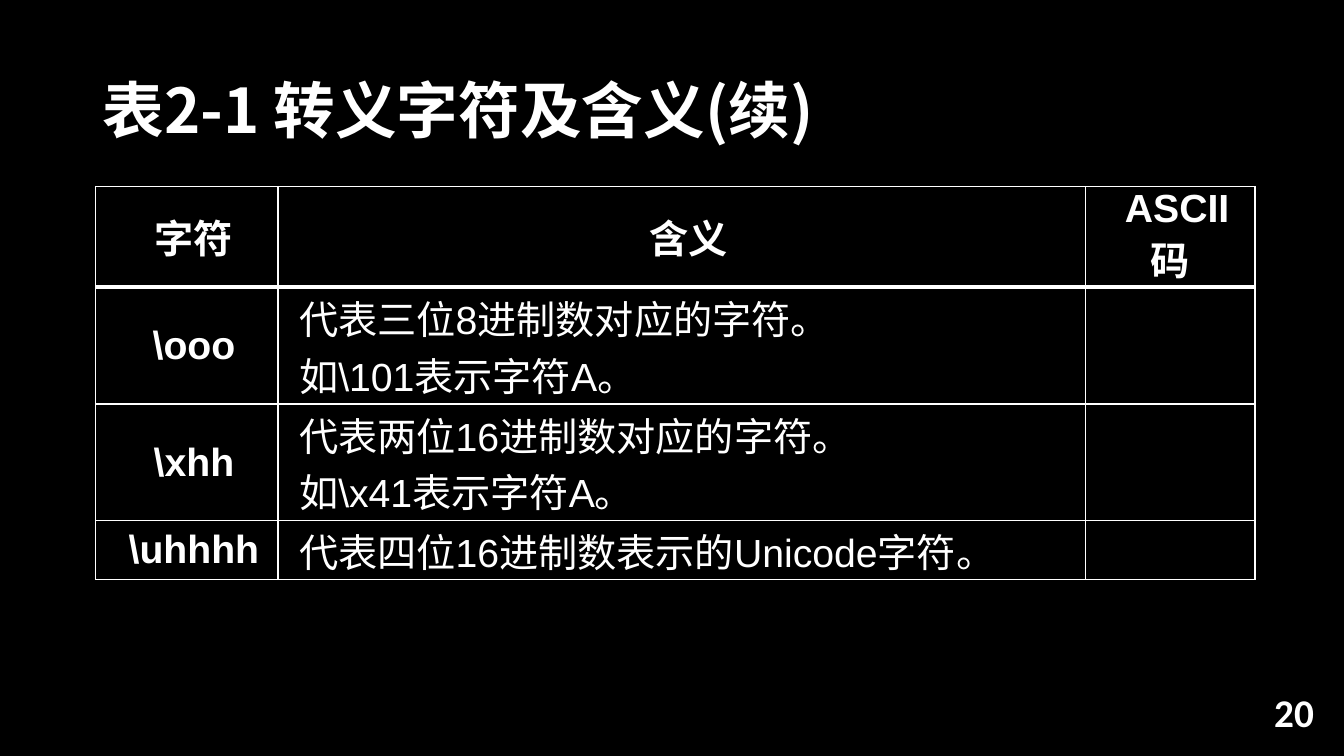
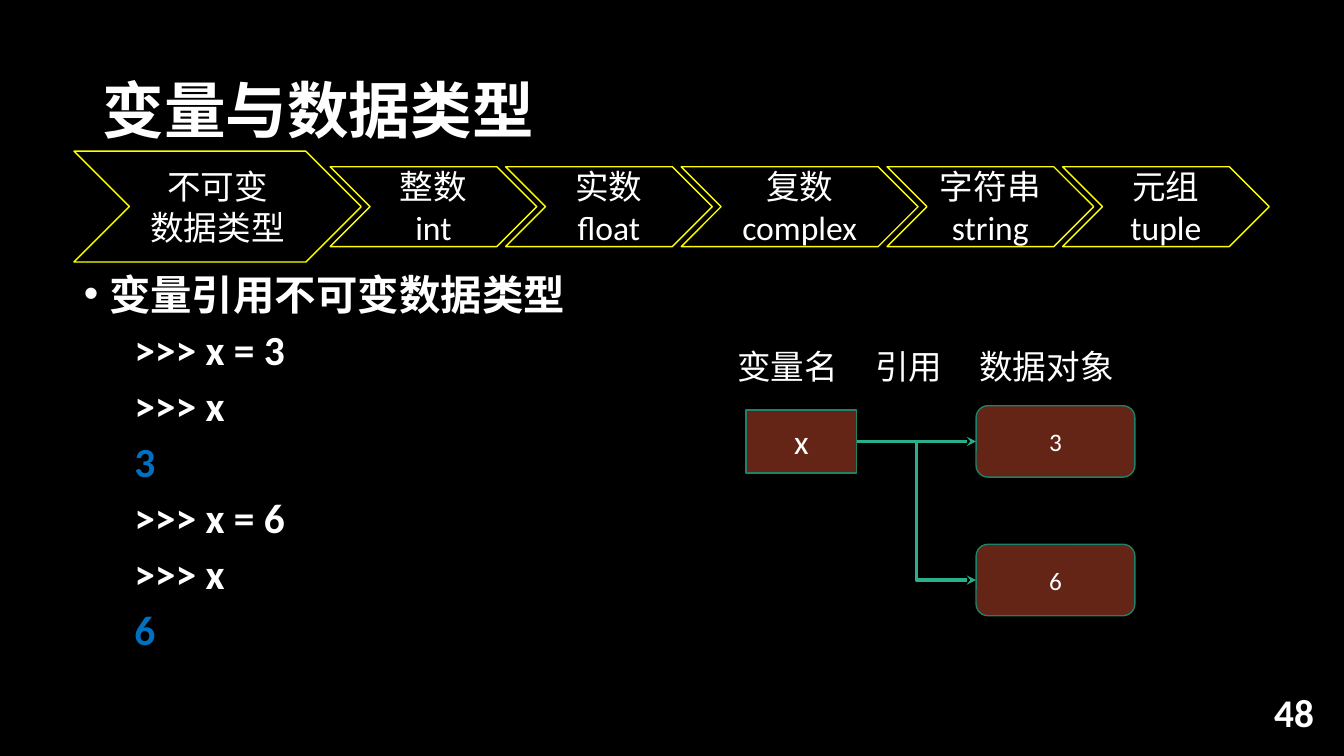
from dataclasses import dataclass
from typing import NamedTuple

from lxml import etree
from pptx import Presentation
from pptx.dml.color import RGBColor
from pptx.enum.shapes import MSO_CONNECTOR, MSO_SHAPE
from pptx.enum.text import MSO_ANCHOR, PP_ALIGN
from pptx.oxml.ns import qn
from pptx.util import Emu, Inches, Pt

LEFT, CENTER, RIGHT, JUSTIFY = PP_ALIGN.LEFT, PP_ALIGN.CENTER, PP_ALIGN.RIGHT, PP_ALIGN.JUSTIFY
MIDDLE, TOP = MSO_ANCHOR.MIDDLE, MSO_ANCHOR.TOP
CHEVRON, RECTANGLE, ROUNDED = MSO_SHAPE.CHEVRON, MSO_SHAPE.RECTANGLE, MSO_SHAPE.ROUNDED_RECTANGLE
STRAIGHT, ELBOW = MSO_CONNECTOR.STRAIGHT, MSO_CONNECTOR.ELBOW
RIGHT_SIDE, LEFT_SIDE = 3, 1
TITLE_ONLY = 5

GRID_COLUMNS, GRID_ROWS = 160, 90
CELL = Inches(1) // 12


@dataclass(frozen=True)
class Theme:
    background: str = "000000"
    text: str = "FFFFFF"
    output: str = "0070C0"
    chevron_line: str = "FFFF00"
    object_fill: str = "642416"
    object_line: str = "1E8168"
    arrow: str = "29AF8C"
    heading_font: str = "Noto Sans CJK SC"
    body_font: str = "Calibri"
    table_font: str = "Arial"
    title_size: float = 44
    code_size: float = 29.6
    table_size: float = 28
    number_size: float = 28
    label_size: float = 24
    value_size: float = 18


THEME = Theme()


class Box(NamedTuple):
    """A place on the slide, in grid columns and rows."""
    column: float
    row: float
    columns: float
    rows: float

    def lengths(self) -> list[Emu]:
        return [grid(value) for value in self]


class TextStyle(NamedTuple):
    size: float
    font: str = THEME.body_font
    bold: bool = False
    align: PP_ALIGN = LEFT
    color: str = THEME.text


class ChevronStep(NamedTuple):
    text: str
    columns: float
    rows: float = 9.5


class CodeLine(NamedTuple):
    text: str
    color: str = THEME.text


TITLE_BOX = Box(11, 4.8, 138, 17.4)
NUMBER_BOX = Box(121.6, 82.3, 36, 4.8)
CODE_BOX = Box(8.8, 33.1, 142.4, 50)
LABEL_BOX = Box(86.6, 40.6, 61.4, 6)
NAME_BOX = Box(88.8, 48.8, 13.2, 7.5)
VALUE_BOX = Box(116.2, 48.3, 18.9, 8.5)
VALUE_STEP = 16.5
LABEL_TABS = (16.4, 28.8)

TITLE_STYLE = TextStyle(THEME.title_size, THEME.heading_font, True)
NUMBER_STYLE = TextStyle(THEME.number_size, bold=True, align=RIGHT)
HEADER_STYLE = TextStyle(THEME.table_size, THEME.table_font, True, CENTER)
MEANING_STYLE = TextStyle(THEME.table_size, THEME.table_font, align=JUSTIFY)
LABEL_STYLE = TextStyle(THEME.label_size, THEME.table_font)
NAME_STYLE = TextStyle(THEME.label_size, align=CENTER)
VALUE_STYLE = TextStyle(THEME.value_size, align=CENTER)

TABLE_LEFT, TABLE_TOP = 11.4, 22.2
TABLE_COLUMNS = (21.7, 96.1, 20.2)
TABLE_ROWS = (12, 13.9, 13.9, 7)
TABLE_TEXT = (
    ("字符", "含义", "ASCII码"),
    ("\\ooo", "代表三位8进制数对应的字符。\n如\\101表示字符A。", ""),
    ("\\xhh", "代表两位16进制数对应的字符。\n如\\x41表示字符A。", ""),
    ("\\uhhhh", "代表四位16进制数表示的Unicode字符。", ""),
)

CHEVRON_LEFT, CHEVRON_MIDDLE, CHEVRON_OVERLAP = 8.8, 24.6, 3.7
CHEVRONS = (
    ChevronStep("不可变\n数据类型", 34.2, 13.2),
    ChevronStep("整数\nint", 24.6),
    ChevronStep("实数float", 24.6),
    ChevronStep("复数complex", 28.2),
    ChevronStep("字符串string", 24.6),
    ChevronStep("元组tuple", 24.6),
)

CODE_HEADING = "变量引用不可变数据类型"
CODE_LINES = (
    CodeLine(">>> x = 3"),
    CodeLine(">>> x"),
    CodeLine("3", THEME.output),
    CodeLine(">>> x = 6"),
    CodeLine(">>> x"),
    CodeLine("6", THEME.output),
)


def grid(cells: float) -> Emu:
    return Emu(round(cells * CELL))


def rgb(color: str) -> RGBColor:
    return RGBColor.from_string(color)


def style_paragraph(paragraph, style: TextStyle) -> None:
    paragraph.alignment = style.align
    for run in paragraph.runs:
        run.font.size = Pt(style.size)
        run.font.bold = style.bold
        run.font.name = style.font
        run.font.color.rgb = rgb(style.color)
        east_asian = etree.SubElement(run._r.get_or_add_rPr(), qn("a:ea"))
        east_asian.set("typeface", THEME.heading_font)


def write(text_frame, text: str, style: TextStyle, anchor: MSO_ANCHOR = MIDDLE) -> None:
    text_frame.text = text
    text_frame.word_wrap = True
    text_frame.vertical_anchor = anchor
    for paragraph in text_frame.paragraphs:
        style_paragraph(paragraph, style)


def set_indent(paragraph, margin: float, first_line: float) -> None:
    properties = paragraph._p.get_or_add_pPr()
    properties.set("marL", str(Inches(margin)))
    properties.set("indent", str(Inches(first_line)))


def add_text(slide, box: Box, text: str, style: TextStyle, anchor: MSO_ANCHOR = MIDDLE):
    text_box = slide.shapes.add_textbox(*box.lengths())
    write(text_box.text_frame, text, style, anchor)
    return text_box


def add_titled_slide(presentation, title: str, number: str):
    slide = presentation.slides.add_slide(presentation.slide_layouts[TITLE_ONLY])
    placeholder = slide.shapes.title
    placeholder.left, placeholder.top, placeholder.width, placeholder.height = TITLE_BOX.lengths()
    write(placeholder.text_frame, title, TITLE_STYLE)
    placeholder.text_frame.paragraphs[0].line_spacing = 0.9
    add_text(slide, NUMBER_BOX, number, NUMBER_STYLE)
    return slide


def add_shape(slide, kind: MSO_SHAPE, box: Box, text: str, style: TextStyle,
              line: str, fill: str | None = None):
    shape = slide.shapes.add_shape(kind, *box.lengths())
    shape.shadow.inherit = False
    shape.line.color.rgb = rgb(line)
    shape.line.width = Pt(1)
    if fill:
        shape.fill.solid()
        shape.fill.fore_color.rgb = rgb(fill)
    else:
        shape.fill.background()
    write(shape.text_frame, text, style)
    return shape


def add_arrow(slide, kind: MSO_CONNECTOR, start, end) -> None:
    """Join the right side of start to the left side of end."""
    connector = slide.shapes.add_connector(kind, 0, 0, 0, 0)
    connector.begin_connect(start, RIGHT_SIDE)
    connector.end_connect(end, LEFT_SIDE)
    connector.line.color.rgb = rgb(THEME.arrow)
    connector.line.width = Pt(2.25)
    etree.SubElement(connector.line._get_or_add_ln(), qn("a:tailEnd")).set("type", "stealth")
    etree.SubElement(connector._element.spPr, qn("a:effectLst"))


def set_border(cell, side: str, width: float) -> None:
    line = etree.SubElement(cell._tc.get_or_add_tcPr(), qn(f"a:ln{side}"), w=str(Pt(width)))
    fill = etree.SubElement(line, qn("a:solidFill"))
    etree.SubElement(fill, qn("a:srgbClr"), val=THEME.text)


def format_cell(cell, text: str, style: TextStyle, top: float, bottom: float) -> None:
    """Fill in a cell; top and bottom are border widths in points."""
    write(cell.text_frame, text, style)
    cell.vertical_anchor = MIDDLE
    cell.margin_left = cell.margin_right = Inches(0.07)
    cell.margin_top = cell.margin_bottom = 0
    for paragraph in cell.text_frame.paragraphs:
        set_indent(paragraph, 0, 0.14)
    for side, width in (("L", 1), ("R", 1), ("T", top), ("B", bottom)):
        set_border(cell, side, width)
    cell.fill.solid()
    cell.fill.fore_color.rgb = rgb(THEME.background)


def add_escape_table(slide) -> None:
    box = Box(TABLE_LEFT, TABLE_TOP, sum(TABLE_COLUMNS), sum(TABLE_ROWS))
    table = slide.shapes.add_table(len(TABLE_ROWS), len(TABLE_COLUMNS), *box.lengths()).table
    table.first_row = table.horz_banding = False
    for column, width in zip(table.columns, TABLE_COLUMNS):
        column.width = grid(width)
    for row, height in zip(table.rows, TABLE_ROWS):
        row.height = grid(height)
    for row_index, texts in enumerate(TABLE_TEXT):
        for column_index, text in enumerate(texts):
            is_header = row_index == 0 or column_index == 0
            format_cell(table.cell(row_index, column_index), text,
                        HEADER_STYLE if is_header else MEANING_STYLE,
                        top=3 if row_index == 1 else 1,
                        bottom=3 if row_index == 0 else 1)


def add_chevrons(slide) -> None:
    column = CHEVRON_LEFT
    for step in CHEVRONS:
        box = Box(column, CHEVRON_MIDDLE - step.rows / 2, step.columns, step.rows)
        add_shape(slide, CHEVRON, box, step.text, NAME_STYLE, THEME.chevron_line)
        column += step.columns - CHEVRON_OVERLAP


def add_code(slide) -> None:
    lines = (CodeLine(CODE_HEADING), *CODE_LINES)
    style = TextStyle(THEME.code_size, bold=True)
    text = "\n".join(line.text for line in lines)
    text_box = add_text(slide, CODE_BOX, text, style, TOP)
    heading, *code = text_box.text_frame.paragraphs
    set_indent(heading, 0.25, -0.25)
    heading.line_spacing = 0.7
    bullet_properties = heading._p.get_or_add_pPr()
    etree.SubElement(bullet_properties, qn("a:buFont"), typeface=THEME.table_font)
    etree.SubElement(bullet_properties, qn("a:buChar"), char="•")
    for paragraph, line in zip(code, CODE_LINES):
        set_indent(paragraph, 0.5, 0)
        paragraph.space_before = Pt(4.5)
        paragraph.runs[0].font.color.rgb = rgb(line.color)


def add_reference_diagram(slide) -> None:
    labels = add_text(slide, LABEL_BOX, "变量名\t引用\t数据对象", LABEL_STYLE, TOP)
    properties = labels.text_frame.paragraphs[0]._p.get_or_add_pPr()
    tabs = etree.SubElement(properties, qn("a:tabLst"))
    for position in LABEL_TABS:
        etree.SubElement(tabs, qn("a:tab"), pos=str(grid(position)), algn="l")
    name = add_shape(slide, RECTANGLE, NAME_BOX, "x", NAME_STYLE,
                     THEME.object_line, THEME.object_fill)
    for index, (text, kind) in enumerate((("3", STRAIGHT), ("6", ELBOW))):
        box = VALUE_BOX._replace(row=VALUE_BOX.row + index * VALUE_STEP)
        value = add_shape(slide, ROUNDED, box, text, VALUE_STYLE,
                          THEME.object_line, THEME.object_fill)
        add_arrow(slide, kind, name, value)


def main() -> None:
    presentation = Presentation()
    presentation.slide_width = grid(GRID_COLUMNS)
    presentation.slide_height = grid(GRID_ROWS)
    background = presentation.slide_master.background.fill
    background.solid()
    background.fore_color.rgb = rgb(THEME.background)

    add_escape_table(add_titled_slide(presentation, "表2-1 转义字符及含义(续)", "20"))

    types_slide = add_titled_slide(presentation, "变量与数据类型", "48")
    add_chevrons(types_slide)
    add_code(types_slide)
    add_reference_diagram(types_slide)
    presentation.save("out.pptx")


if __name__ == "__main__":
    main()
